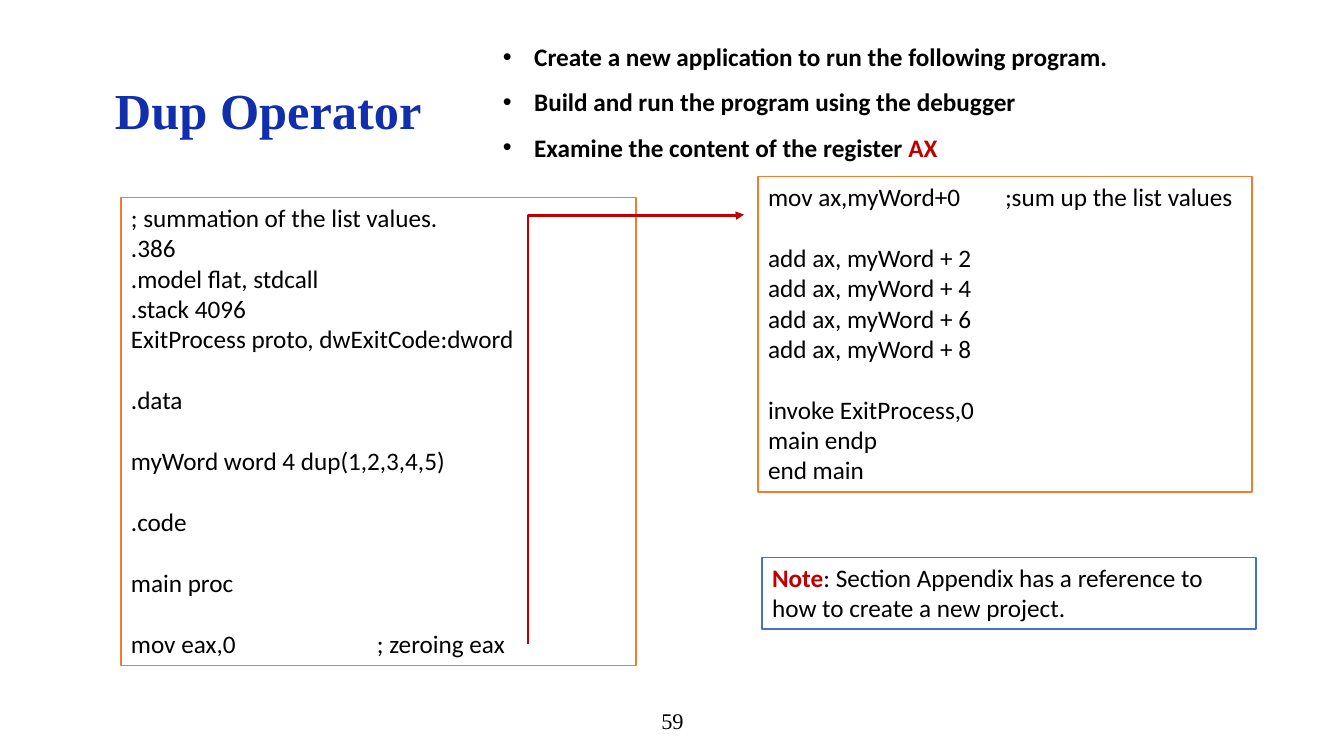
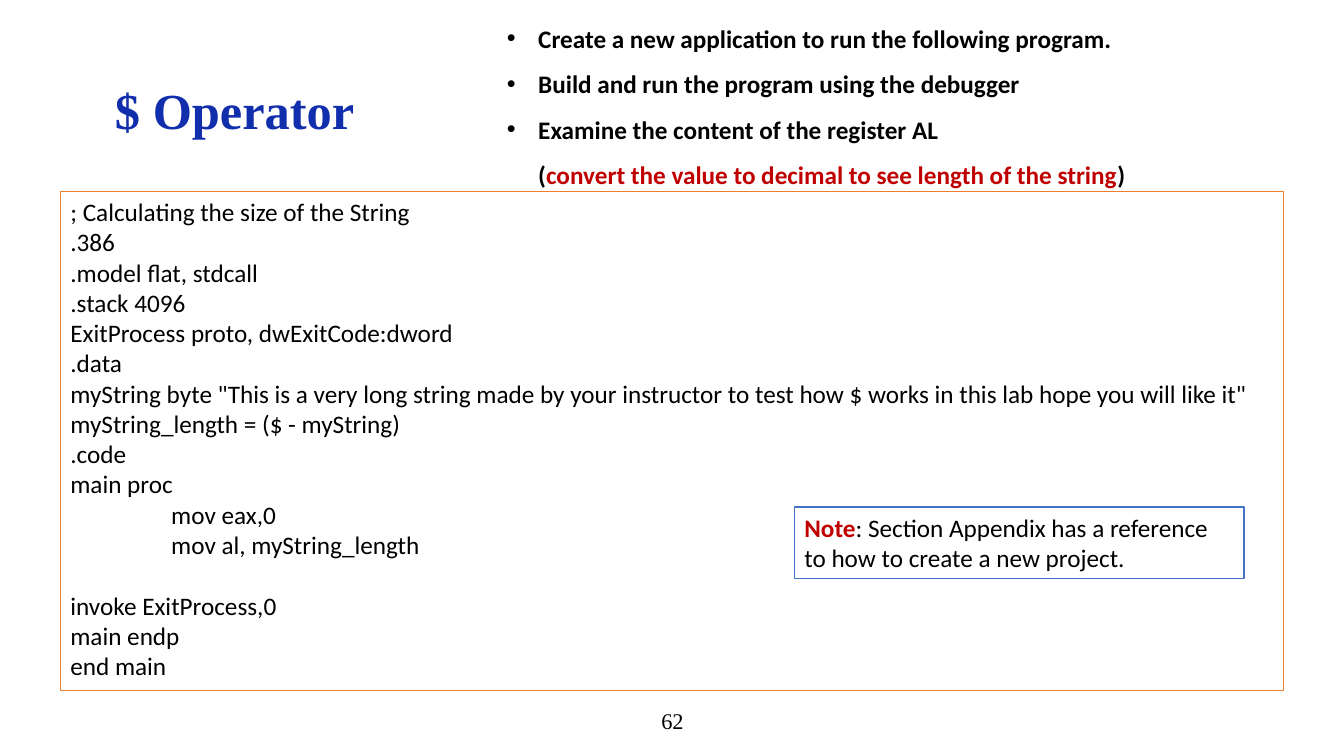
from lxml import etree
from pptx import Presentation
from pptx import util as u
from pptx.dml.color import RGBColor
from pptx.enum import shapes, text
from pptx.oxml.ns import qn

PX = 9144  # 100 px to the inch
BLACK = RGBColor(0x00, 0x00, 0x00)
WHITE = RGBColor(0xFF, 0xFF, 0xFF)
RED = RGBColor(0xC0, 0x00, 0x00)
TITLE_BLUE = RGBColor(0x11, 0x2E, 0xAC)
CODE_ORANGE = RGBColor(0xED, 0x7D, 0x31)
NOTE_BLUE = RGBColor(0x44, 0x72, 0xC4)

BODY = {"name": "Calibri", "size": u.Pt(18), "bold": False, "color": BLACK}
BOLD = {**BODY, "bold": True}
BOLD_RED = {**BOLD, "color": RED}
TITLE = {"name": "Times New Roman", "size": u.Pt(36), "bold": True, "color": TITLE_BLUE}
NUMBER = {"name": "Times New Roman", "size": u.Pt(16), "bold": False, "color": BLACK}

CODE_GAP = u.Pt(22)  # one line of code
BULLET_INDENT = 31

STEPS = [
    [("Create a new application to run the following program.", BOLD)],
    [("Build and run the program using the debugger", BOLD)],
]
NOTE = [
    ("Note", BOLD_RED),
    (": Section Appendix has a reference to how to create a new project.", BODY),
]

# Each inner list is a block of code, set off from the next by one line.
DUP_START = [
    ["; summation of the list values.", ".386", ".model flat, stdcall",
     ".stack 4096", "ExitProcess proto, dwExitCode:dword"],
    [".data"],
    ["myWord word 4 dup(1,2,3,4,5)"],
    [".code"],
    ["main proc"],
    ["mov eax,0\t; zeroing eax"],
]
DUP_END = [
    ["mov ax,myWord+0\t;sum up the list values"],
    ["add ax, myWord + 2", "add ax, myWord + 4",
     "add ax, myWord + 6", "add ax, myWord + 8"],
    ["invoke ExitProcess,0", "main endp", "end main"],
]
LENGTH_CODE = [
    ["; Calculating the size of the String", ".386", ".model flat, stdcall",
     ".stack 4096", "ExitProcess proto, dwExitCode:dword", ".data",
     'myString byte "This is a very long string made by your instructor '
     'to test how $ works in this lab hope you will like it"',
     "myString_length = ($ - myString)", ".code", "main proc",
     "\tmov eax,0", "\tmov al, myString_length"],
    ["invoke ExitProcess,0", "main endp", "end main"],
]


def px(*lengths):
    return [u.Emu(length * PX) for length in lengths]


def add_runs(paragraph, runs):
    """Write (text, format) pairs; a pair of None is a line break."""
    for pair in runs:
        if pair is None:
            paragraph.add_line_break()
            continue
        words, font_format = pair
        run = paragraph.add_run()
        run.text = words
        for key, value in font_format.items():
            if key == "color":
                run.font.color.rgb = value
            else:
                setattr(run.font, key, value)


def add_box(slide, place, border=None):
    box = slide.shapes.add_textbox(*px(*place))
    frame = box.text_frame
    frame.word_wrap = True
    frame.vertical_anchor = text.MSO_ANCHOR.TOP
    if border is not None:
        box.fill.solid()
        box.fill.fore_color.rgb = WHITE
        box.line.color.rgb = border
        box.line.width = u.Pt(1)
    return frame


def next_paragraph(frame, index):
    return frame.add_paragraph() if index else frame.paragraphs[0]


def add_code(slide, place, blocks, tab):
    frame = add_box(slide, place, CODE_ORANGE)
    lines = [(line, block and not row)
             for block, code in enumerate(blocks) for row, line in enumerate(code)]
    for index, (line, starts_block) in enumerate(lines):
        paragraph = next_paragraph(frame, index)
        if "\t" in line:
            tabs = etree.SubElement(paragraph._p.get_or_add_pPr(), qn("a:tabLst"))
            etree.SubElement(tabs, qn("a:tab"), pos=str(tab * PX), algn="l")
        if starts_block:
            paragraph.space_before = CODE_GAP
        add_runs(paragraph, [(line, BODY)])


def add_steps(slide, place, steps):
    frame = add_box(slide, place)
    for index, runs in enumerate(steps):
        paragraph = next_paragraph(frame, index)
        properties = paragraph._p.get_or_add_pPr()
        properties.set("marL", str(BULLET_INDENT * PX))
        properties.set("indent", str(-BULLET_INDENT * PX))
        etree.SubElement(properties, qn("a:buFont"), typeface="Arial")
        etree.SubElement(properties, qn("a:buChar"), char="•")
        paragraph.line_spacing = 1.5
        add_runs(paragraph, runs)


def add_note(slide, place):
    add_runs(add_box(slide, place, NOTE_BLUE).paragraphs[0], NOTE)


def add_up_and_right_arrow(slide, start, end):
    """Elbow arrow that rises from start and then runs right to end."""
    across, rise = end[0] - start[0], start[1] - end[1]
    middle_x, middle_y = (start[0] + end[0]) // 2, (start[1] + end[1]) // 2
    left, top = middle_x - rise // 2, middle_y - across // 2
    # Both flips come from drawing backwards; the quarter turn makes it rise first.
    arrow = slide.shapes.add_connector(
        shapes.MSO_CONNECTOR.ELBOW, *px(left + rise, top + across, left, top))
    arrow.line.color.rgb = RED
    arrow.line.width = u.Pt(1.5)
    properties = arrow._element.spPr
    properties.find(qn("a:xfrm")).set("rot", str(90 * 60000))
    guides = properties.find(qn("a:prstGeom")).find(qn("a:avLst"))
    etree.SubElement(guides, qn("a:gd"), name="adj1", fmla="val 99800")
    etree.SubElement(arrow.line._get_or_add_ln(), qn("a:tailEnd"), type="triangle")
    etree.SubElement(properties, qn("a:effectLst"))


def add_slide(presentation, title, number):
    slide = presentation.slides.add_slide(presentation.slide_layouts[5])
    placeholder = slide.shapes.title
    for side, value in zip(("left", "top", "width", "height"), px(104, 40, 1138, 145)):
        setattr(placeholder, side, value)
    frame = placeholder.text_frame
    frame.auto_size = text.MSO_AUTO_SIZE.NONE
    frame.vertical_anchor = text.MSO_ANCHOR.MIDDLE
    heading = frame.paragraphs[0]
    heading.alignment = text.PP_ALIGN.LEFT
    heading.line_spacing = 0.9
    add_runs(heading, [(title, TITLE)])

    footer = add_box(slide, (442, 695, 450, 40))
    footer.vertical_anchor = text.MSO_ANCHOR.MIDDLE
    footer.paragraphs[0].alignment = text.PP_ALIGN.CENTER
    add_runs(footer.paragraphs[0], [(str(number), NUMBER)])
    return slide


def add_dup_slide(presentation):
    slide = add_slide(presentation, "Dup Operator", 59)
    add_code(slide, (120, 196, 511, 464), DUP_START, tab=244)
    add_steps(slide, (489, 21, 709, 146), STEPS + [
        [("Examine the content of the register ", BOLD), ("AX", BOLD_RED)]])
    add_note(slide, (756, 553, 490, 71))
    add_code(slide, (752, 175, 490, 313), DUP_END, tab=235)
    add_up_and_right_arrow(slide, (524, 639), (738, 213))


def add_length_slide(presentation):
    slide = add_slide(presentation, "$ Operator", 62)
    add_code(slide, (60, 190, 1213, 495), LENGTH_CODE, tab=100)
    add_steps(slide, (493, 3, 709, 192), STEPS + [
        [("Examine the content of the register AL", BOLD), None, ("(", BOLD),
         ("convert the value to decimal to see length of the string", BOLD_RED),
         (")", BOLD)]])
    add_note(slide, (788, 503, 446, 71))


def main():
    presentation = Presentation()
    presentation.slide_width, presentation.slide_height = px(1333, 750)
    add_dup_slide(presentation)
    add_length_slide(presentation)
    presentation.save("out.pptx")


if __name__ == "__main__":
    main()
